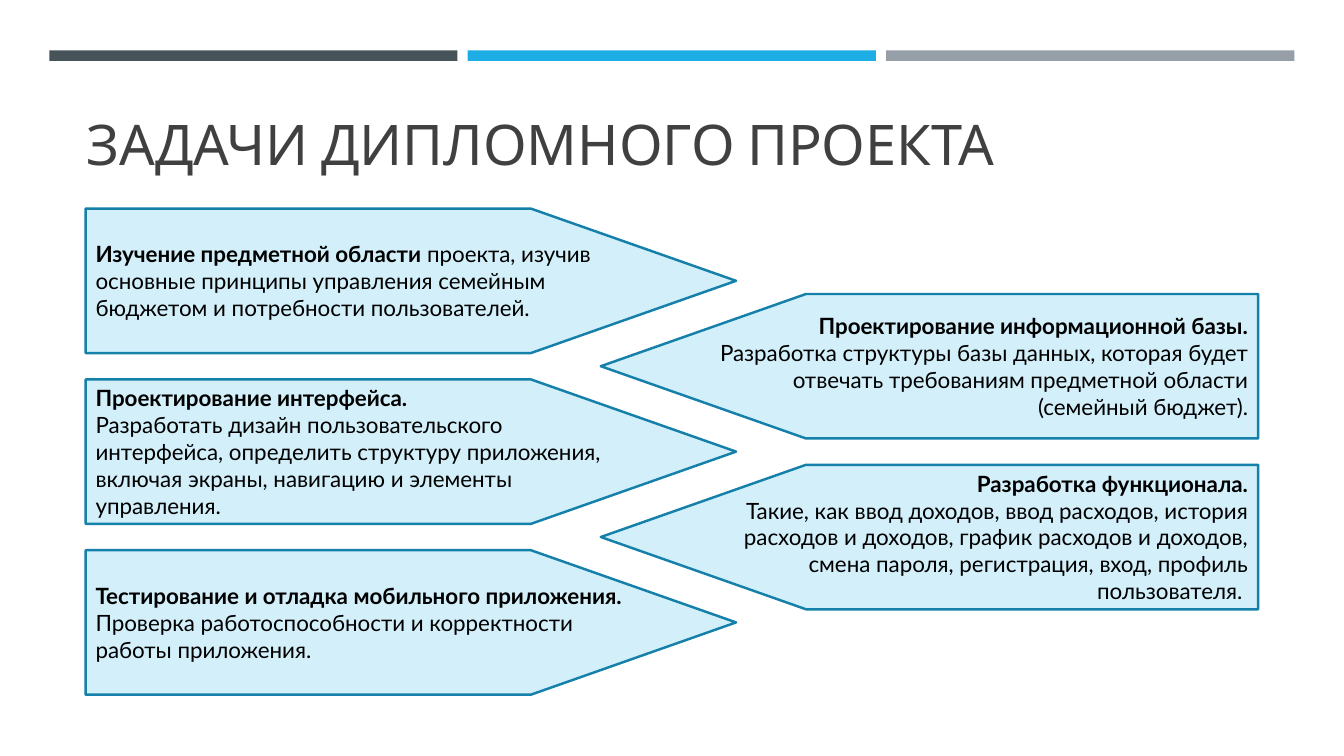
from pptx import Presentation
from pptx.dml.color import RGBColor
from pptx.enum.shapes import MSO_SHAPE
from pptx.enum.text import MSO_ANCHOR, PP_ALIGN
from pptx.util import Pt

RECT, PLATE = MSO_SHAPE.RECTANGLE, MSO_SHAPE.PENTAGON
LEFT, RIGHT = PP_ALIGN.LEFT, PP_ALIGN.RIGHT
MIDDLE, BOTTOM = MSO_ANCHOR.MIDDLE, MSO_ANCHOR.BOTTOM

HEX = {"dark": "465359", "blue": "1CADE4", "gray": "969FA7", "title": "404040",
       "pale": "D2EFFA", "edge": "1580A9", "text": "000000"}
HEAD = {"name": "Cabin", "size": Pt(40), "bold": False}
BODY = {"name": "Lato", "size": Pt(16)}

# Each task is a list of paragraphs: (bold part, plain part)
TASKS = [
    [("Изучение предметной области", " проекта, изучив основные принципы управления "
      "семейным бюджетом и потребности пользователей.")],
    [("Проектирование информационной базы. ", "Разработка структуры базы данных, "
      "которая будет отвечать требованиям предметной области (семейный бюджет).")],
    [("Проектирование интерфейса.", ""),
     ("", "Разработать дизайн пользовательского интерфейса, определить структуру "
      "приложения, включая экраны, навигацию и элементы управления.")],
    [("Разработка функционала.", ""),
     ("", "Такие, как ввод доходов, ввод расходов, история расходов и доходов, "
      "график расходов и доходов, смена пароля, регистрация, вход, профиль "
      "пользователя. ")],
    [("Тестирование и отладка мобильного приложения.",
      " Проверка работоспособности и корректности работы приложения.")],
]


def color(key):
    return RGBColor.from_string(HEX[key])


def add_run(para, text, style, key):
    run = para.add_run()
    run.text = text
    for name, value in style.items():
        setattr(run.font, name, value)
    run.font.color.rgb = color(key)


def add_form(slide, kind, box, fill):
    form = slide.shapes.add_shape(kind, *map(Pt, box))
    form.shadow.inherit = False
    form.fill.solid()
    form.fill.fore_color.rgb = color(fill)
    form.line.fill.background()
    return form


def add_title(slide, text):
    frame = slide.shapes.add_textbox(Pt(54.7), Pt(36), Pt(868.3), Pt(93.6)).text_frame
    frame.word_wrap = True
    frame.vertical_anchor = BOTTOM
    add_run(frame.paragraphs[0], text, HEAD, "title")


def add_task(slide, box, paras, flip):
    form = add_form(slide, PLATE, box, "pale")
    form.adjustments[0] = 1.42
    form.line.color.rgb = color("edge")
    form.line.width = Pt(1.75)
    if flip:
        form._element.spPr.xfrm.set("flipH", "1")
    frame = form.text_frame
    frame.word_wrap = True
    frame.vertical_anchor = MIDDLE
    for i, parts in enumerate(paras):
        para = frame.add_paragraph() if i else frame.paragraphs[0]
        para.alignment = RIGHT if flip else LEFT
        for text, bold in zip(parts, (True, False)):
            if text:
                add_run(para, text, {**BODY, "bold": bold}, "text")


def main():
    prs = Presentation()
    prs.slide_width, prs.slide_height = Pt(960), Pt(540)
    slide = prs.slides.add_slide(prs.slide_layouts[6])

    # Top bars
    for i, key in enumerate(("dark", "blue", "gray")):
        add_form(slide, RECT, (35.2 + 298.9 * i, 36, 291.6, 7.5), key)

    add_title(slide, "ЗАДАЧИ ДИПЛОМНОГО ПРОЕКТА")

    # Tasks alternate between the left and right columns
    for i, paras in enumerate(TASKS):
        flip = i % 2 == 1
        left, width = (429.2, 469.6) if flip else (61.2, 464.6)
        add_task(slide, (left, 149 + 61 * i, width, 103.2), paras, flip)

    prs.save("out.pptx")


if __name__ == "__main__":
    main()
